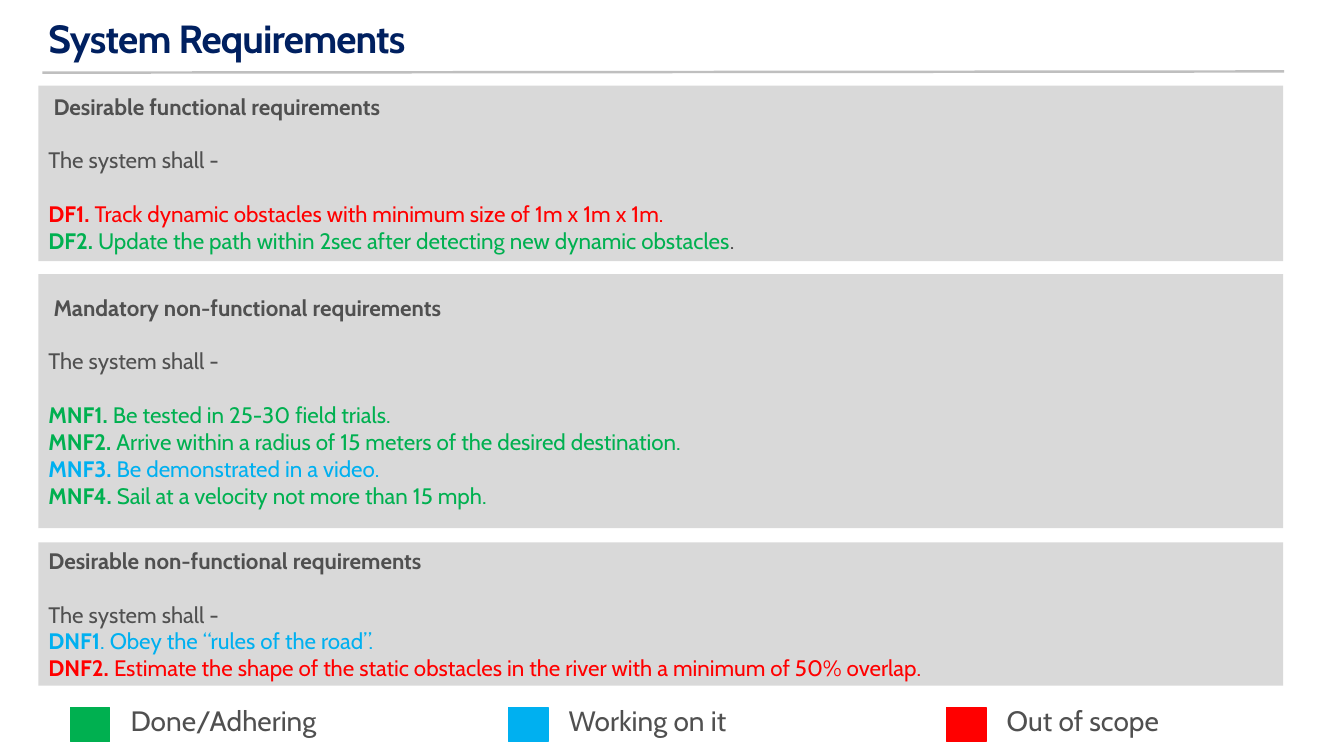
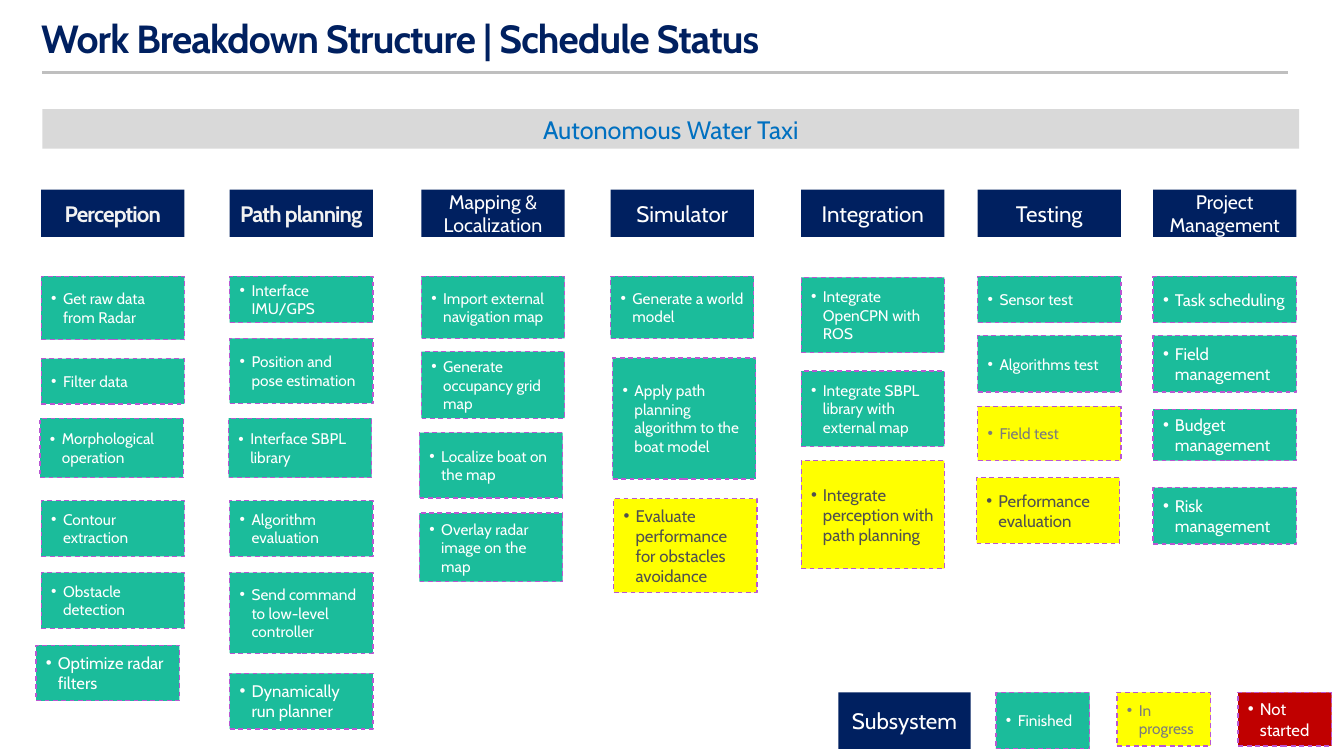
from pptx import Presentation
from pptx import util as u
from pptx.dml import color
from pptx.enum import dml, shapes, text
from pptx.oxml import ns
from lxml import etree

Cm, Pt = u.Cm, u.Pt
FONT = "Cabin"
NAVY, GREY, INK, WHITE, PALE = "002060", "D9D9D9", "505050", "FFFFFF", "F2F2F2"
RULE, EDGE, SKY, TEAL, YELLOW = "BFBFBF", "B957D2", "0070C0", "1BBC9B", "FFFF00"
GREEN, BLUE, RED = "00B050", "00B0F0", "FF0000"
MID, LEFT = text.PP_ALIGN.CENTER, text.PP_ALIGN.LEFT


def hue(code):
    return color.RGBColor.from_string(code)


# Shared parts
def add_run(para, words, size, ink, bold=False, track=0):
    run = para.add_run()
    run.text = words
    font = run.font
    font.name, font.size, font.bold = FONT, Pt(size), bold
    font.color.rgb = hue(ink)
    if track:
        run._r.get_or_add_rPr().set("spc", str(track))


def set_frame(shape, pad, wrap=True, anchor=text.MSO_ANCHOR.MIDDLE):
    frame = shape.text_frame
    frame.word_wrap, frame.vertical_anchor = wrap, anchor
    (frame.margin_left, frame.margin_top,
     frame.margin_right, frame.margin_bottom) = map(Cm, pad)
    return frame


def add_rect(slide, box, fill, edge=None, dash=False):
    rect = slide.shapes.add_shape(shapes.MSO_SHAPE.RECTANGLE, *map(Cm, box))
    rect.shadow.inherit = False
    rect.fill.solid()
    rect.fill.fore_color.rgb = hue(fill)
    if edge:
        rect.line.color.rgb = hue(edge)
        rect.line.width = Pt(0.85)
        if dash:
            rect.line.dash_style = dml.MSO_LINE.DASH
    else:
        rect.line.fill.background()
    return rect


def add_label(slide, box, fill, words, size, ink, bold=False, track=0):
    rect = add_rect(slide, box, fill)
    para = set_frame(rect, (0.25, 0.13, 0.25, 0.13)).paragraphs[0]
    para.alignment = MID
    add_run(para, words, size, ink, bold, track)


def add_title(slide, words, left, end, level):
    box = slide.shapes.add_textbox(Cm(left), 0, Cm(31), Cm(1.8))
    para = set_frame(box, (0, 0.43, 0.15, 0.15)).paragraphs[0]
    para.line_spacing = 0.9
    add_run(para, words, 28, NAVY, True, -60)
    line = slide.shapes.add_connector(
        shapes.MSO_CONNECTOR.STRAIGHT, Cm(1.07), Cm(1.83), Cm(end), Cm(level))
    line.line.color.rgb = hue(RULE)
    line.line.width = Pt(1.75)
    etree.SubElement(line._element.spPr, ns.qn("a:effectLst"))


# Requirement panels
GAP = 19.2
PANELS = [
    (2.16, 4.42, 0.13, "Desirable functional requirements", GAP, [
        ("DF1. ", "Track dynamic obstacles with minimum size of 1m x 1m x 1m.", RED, ""),
        ("DF2. ", "Update the path within 2sec after detecting new dynamic obstacles",
         GREEN, ".")]),
    (6.91, 6.4, 0.13, "Mandatory non-functional requirements", GAP, [
        ("MNF1. ", "Be tested in 25-30 field trials.", GREEN, ""),
        ("MNF2. ", "Arrive within a radius of 15 meters of the desired destination.",
         GREEN, ""),
        ("MNF3. ", "Be demonstrated in a video.", BLUE, ""),
        ("MNF4. ", "Sail at a velocity not more than 15 mph.", GREEN, "")]),
    (13.67, 3.61, 0, "Desirable non-functional requirements", 0, [
        ("DNF1", ". Obey the “rules of the road”.", BLUE, ""),
        ("DNF2. ", "Estimate the shape of the static obstacles in the river "
         "with a minimum of 50% overlap.", RED, "")]),
]
KEYS = [("Done/Adhering", GREEN), ("Working on it", BLUE), ("Out of scope", RED)]


def add_panel(slide, box, indent, head, gap, items):
    frame = set_frame(add_rect(slide, box, GREY), (0.25, 0, 0, 0))
    para = frame.paragraphs[0]
    para.alignment = LEFT
    para._p.get_or_add_pPr().set("marL", str(Cm(indent)))
    add_run(para, head, 16, INK, True)
    para = frame.add_paragraph()
    para.alignment = LEFT
    para.space_before = Pt(GAP)
    add_run(para, "The system shall -", 16, INK)
    for spot, (code, words, ink, tail) in enumerate(items):
        para = frame.add_paragraph()
        para.alignment = LEFT
        para.space_before = Pt(0 if spot else gap)
        add_run(para, code, 16, ink, True)
        add_run(para, words, 16, ink)
        if tail:
            add_run(para, tail, 16, INK)


def add_key(slide, left, top, words, fill):
    add_rect(slide, (left, top, 0.99, 0.86), fill, fill)
    box = slide.shapes.add_textbox(
        Cm(left + 1), Cm(top - 0.38), Cm(5.9), Cm(1.6))
    frame = set_frame(box, (0.51, 0.41, 0.51, 0.41), False, text.MSO_ANCHOR.TOP)
    para = frame.paragraphs[0]
    para.line_spacing = 0.9
    add_run(para, words, 20, INK)


def build_needs(slide):
    add_title(slide, "System Requirements", 1.22, 32.36, 1.8)
    for top, high, *rest in PANELS:
        add_panel(slide, (0.97, top, 31.37, high), *rest)
    for spot, key in enumerate(KEYS):
        add_key(slide, 1.78 + 11.04 * spot, 17.83, *key)


# Task states: fill, text colour, text size
DONE, LARGE = (TEAL, WHITE, 11), (TEAL, WHITE, 12)
SMALL, ACTIVE = (YELLOW, "7C7C7C", 11), (YELLOW, INK, 12)
UNMET = ("C00000", WHITE, 12)
BOLD, PLAIN, TIGHT = (16, PALE, True, -60), (16, WHITE), (14, WHITE)
WIDE = 3.61

# Columns: left, heading, heading style, tasks (shift, top, height, words, state)
COLUMNS = [
    (1.04, "Perception", BOLD, [
        (0, 6.96, 1.6, "Get raw data from Radar", DONE),
        (0, 9.04, 1.14, "Filter data", DONE),
        (-0.03, 10.54, 1.5, "Morphological operation", DONE),
        (0, 12.62, 1.4, "Contour extraction", DONE),
        (0, 14.43, 1.4, "Obstacle detection", DONE),
        (-0.13, 16.26, 1.4, "Optimize radar filters", LARGE)]),
    (5.79, "Path planning", BOLD, [
        (0, 6.96, 1.17, "Interface IMU/GPS", DONE),
        (0, 8.53, 1.63, "Position and pose estimation", DONE),
        (-0.03, 10.54, 1.5, "Interface SBPL library", DONE),
        (0, 12.62, 1.4, "Algorithm evaluation", DONE),
        (0, 14.43, 2.03, "Send command to low-level controller", DONE),
        (0, 16.97, 1.4, "Dynamically run planner", LARGE)]),
    (10.62, "Mapping & Localization", TIGHT, [
        (0, 6.96, 1.57, "Import external navigation map", DONE),
        (0, 8.86, 1.68, "Generate occupancy grid map", DONE),
        (-0.05, 10.9, 1.65, "Localize boat on the map", DONE),
        (-0.05, 12.93, 1.73, "Overlay radar image on the map", DONE)]),
    (15.39, "Simulator", PLAIN, [
        (0, 6.96, 1.57, "Generate a world model", DONE),
        (0.05, 9.02, 3.05, "Apply path planning algorithm to the boat model", DONE),
        (0.08, 12.57, 2.36, "Evaluate performance for obstacles avoidance", ACTIVE)]),
    (20.19, "Integration", PLAIN, [
        (0, 6.99, 1.9, "Integrate OpenCPN with ROS", DONE),
        (0, 9.35, 1.9, "Integrate SBPL library with external map", DONE),
        (0, 11.61, 2.72, "Integrate perception with path planning", ACTIVE)]),
    (24.64, "Testing", PLAIN, [
        (0, 6.96, 1.17, "Sensor test", DONE),
        (0, 8.46, 1.42, "Algorithms test", DONE),
        (0, 10.24, 1.37, "Field test", SMALL),
        (-0.03, 12.04, 1.65, "Performance evaluation", ACTIVE)]),
    (29.06, "Project Management", TIGHT, [
        (0, 6.96, 1.17, "Task scheduling", LARGE),
        (0, 8.46, 1.42, "Field management", LARGE),
        (0, 10.31, 1.3, "Budget management", LARGE),
        (0, 12.29, 1.42, "Risk management", LARGE)]),
]
STATES = [(1.42, "Finished", DONE), (1.35, "In progress", SMALL),
          (1.35, "Not started", UNMET)]


def add_task(slide, box, words, state):
    fill, ink, size = state
    rect = add_rect(slide, box, fill, EDGE, True)
    para = set_frame(rect, (0.25, 0.13, 0.25, 0.13)).paragraphs[0]
    para.alignment = LEFT
    props = para._p.get_or_add_pPr()
    props.set("marL", str(Cm(0.3)))
    props.set("indent", str(-Cm(0.3)))
    face = etree.SubElement(props, ns.qn("a:buFont"))
    face.set("typeface", "Arial")
    etree.SubElement(props, ns.qn("a:buChar")).set("char", "•")
    add_run(para, words, size, ink)


def add_column(slide, left, head, style, tasks):
    add_label(slide, (left, 4.78, WIDE, 1.19), NAVY, head, *style)
    for shift, top, high, words, state in tasks:
        add_task(slide, (left + shift, top, WIDE, high), words, state)


def add_legend(slide, left, top):
    add_label(slide, (left, top, 3.33, 1.42), NAVY, "Subsystem", *PLAIN)
    for spot, (high, words, state) in enumerate(STATES):
        spotx = left + 3.97 + 3.05 * spot
        add_task(slide, (spotx, top, 2.36, high), words, state)


def build_status(slide):
    add_title(slide, "Work Breakdown Structure | Schedule Status", 1.04, 32.46, 1.83)
    add_label(slide, (1.07, 2.75, 31.67, 1), GREY, "Autonomous Water Taxi", 18, SKY)
    for column in COLUMNS:
        add_column(slide, *column)
    add_legend(slide, 21.13, 17.45)


def main():
    deck = Presentation()
    deck.slide_width, deck.slide_height = Cm(33.87), Cm(19.05)
    for build in (build_needs, build_status):
        build(deck.slides.add_slide(deck.slide_layouts[6]))
    deck.save("out.pptx")


if __name__ == "__main__":
    main()
